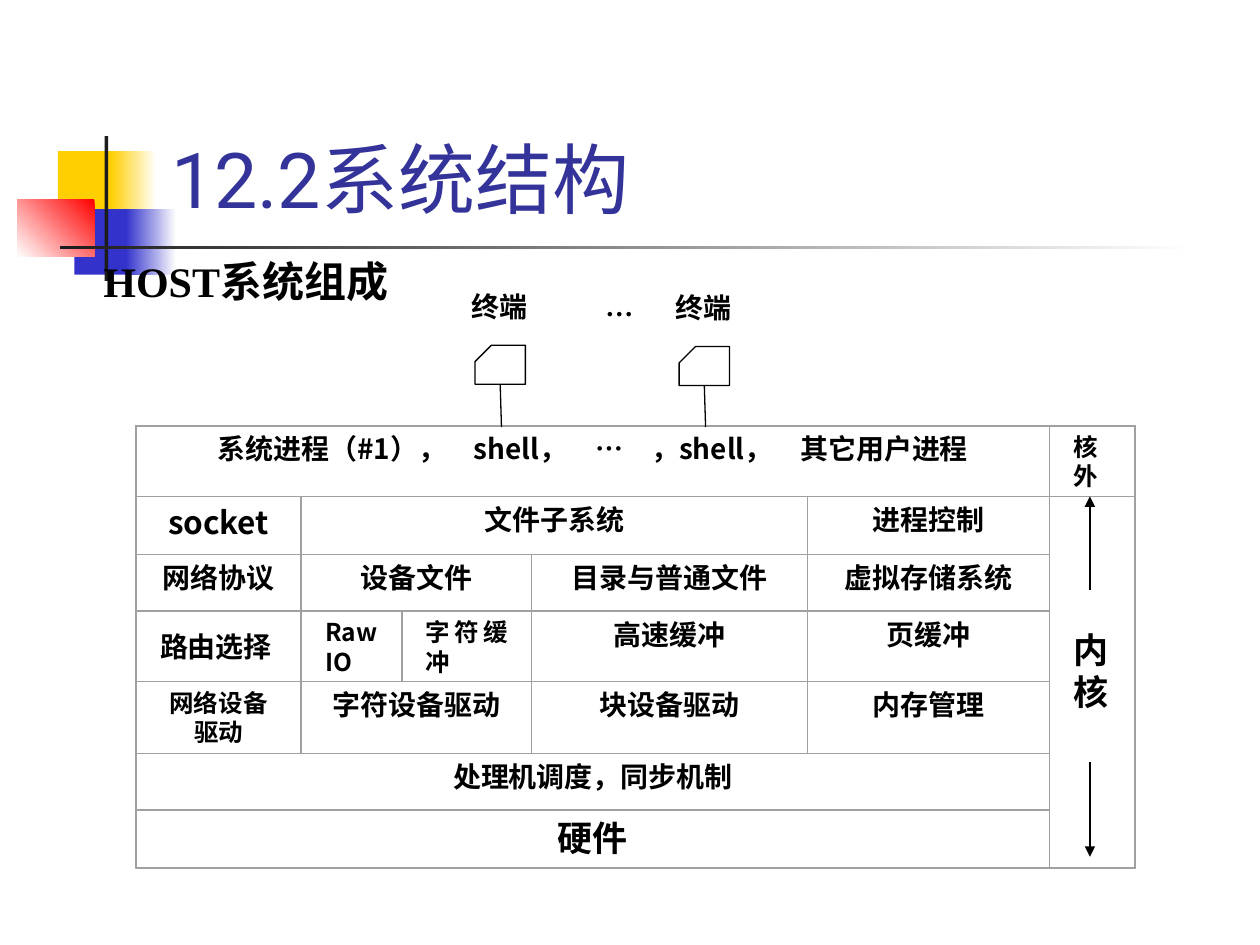
import pptx
import pptx.dml.color
import pptx.enum.shapes
import pptx.enum.text
import pptx.oxml.ns
import pptx.util
from lxml import etree

IN = pptx.util.Inches
ANCHOR = pptx.enum.text.MSO_ANCHOR
ALIGN = pptx.enum.text.PP_ALIGN
RECT = pptx.enum.shapes.MSO_SHAPE.RECTANGLE
STRAIGHT = pptx.enum.shapes.MSO_CONNECTOR.STRAIGHT

SANS, SERIF, TITLE = "Noto Sans CJK SC", "Times New Roman", "Roboto"
BLACK, GRID, INK = "000000", "A0A0A0", "1C1C1C"
WHITE, YELLOW, BLUE, RED = "FFFFFF", "FFCF01", "3333CC", "FF0000"

# Grid edges of the layer diagram, as offsets from its top left corner
COLS = [0, 1.31, 2.11, 3.14, 5.33, 7.25, 7.93]
ROWS = [0, 0.56, 1.02, 1.47, 2.03, 2.6, 3.05, 3.51]

# first row, first column, row after, column after, text, format
LAYERS = [
    (0, 0, 1, 5, "系统进程（#1），　shell，　…　，shell，　其它用户进程", {}),
    (0, 5, 1, 6, "核外", dict(size=14, align=ALIGN.JUSTIFY)),
    (1, 5, 7, 6, "内核", dict(size=20, align=ALIGN.JUSTIFY, anchor=ANCHOR.MIDDLE, bottom=0.23)),
    (1, 0, 2, 1, "socket", dict(size=18)),
    (1, 1, 2, 4, "文件子系统", {}),
    (1, 4, 2, 5, "进程控制", {}),
    (2, 0, 3, 1, "网络协议", {}),
    (2, 1, 3, 3, "设备文件", {}),
    (2, 3, 3, 4, "目录与普通文件", {}),
    (2, 4, 3, 5, "虚拟存储系统", {}),
    (3, 0, 4, 1, "路由选择", dict(font=SERIF, align=ALIGN.LEFT, anchor=ANCHOR.MIDDLE)),
    (3, 1, 4, 2, "RawIO", dict(size=14, align=ALIGN.JUSTIFY)),
    (3, 2, 4, 3, "字符缓冲", dict(size=14, align=ALIGN.JUSTIFY)),
    (3, 3, 4, 4, "高速缓冲", {}),
    (3, 4, 4, 5, "页缓冲", {}),
    (4, 0, 5, 1, "网络设备驱动", dict(size=14)),
    (4, 1, 5, 3, "字符设备驱动", {}),
    (4, 3, 5, 4, "块设备驱动", {}),
    (4, 4, 5, 5, "内存管理", {}),
    (5, 0, 6, 5, "处理机调度，同步机制", {}),
    (6, 0, 7, 5, "硬件", dict(size=20)),
]


def rgb(color):
    return pptx.dml.color.RGBColor.from_string(color)


def write(sp, text, size=16, font=SANS, color=BLACK, bold=True, align=ALIGN.CENTER,
          anchor=ANCHOR.TOP, side=0.1, top=0.05, bottom=0.05, wrap=True):
    tf = sp.text_frame
    frame = dict(word_wrap=wrap, vertical_anchor=anchor, margin_left=IN(side),
                 margin_right=IN(side), margin_top=IN(top), margin_bottom=IN(bottom))
    for name, value in frame.items():
        setattr(tf, name, value)
    p = tf.paragraphs[0]
    p.alignment = align
    r = p.add_run()
    r.text = text
    for name, value in dict(size=pptx.util.Pt(size), name=font, bold=bold).items():
        setattr(r.font, name, value)
    r.font.color.rgb = rgb(color)
    ea = etree.SubElement(r.font._element, pptx.oxml.ns.qn("a:ea"))
    ea.set("typeface", SANS)


def label(s, box, text, **fmt):
    write(s.shapes.add_textbox(*map(IN, box)), text, **fmt)


def block(s, box, fill=None, line=None, width=0):
    """Rectangle; a fill of (start, end, angle) is a gradient."""
    sp = s.shapes.add_shape(RECT, *map(IN, box))
    sp.shadow.inherit = False
    if fill is None:
        sp.fill.background()
    elif isinstance(fill, str):
        sp.fill.solid()
        sp.fill.fore_color.rgb = rgb(fill)
    else:
        sp.fill.gradient()
        sp.fill.gradient_angle = fill[2]
        for stop, color, position in zip(sp.fill.gradient_stops, fill, (0, 1)):
            stop.color.rgb = rgb(color)
            stop.position = position
    if line:
        sp.line.color.rgb = rgb(line)
        sp.line.width = pptx.util.Pt(width)
    else:
        sp.line.fill.background()
    return sp


def connect(s, start, end, arrow=False):
    cxn = s.shapes.add_connector(STRAIGHT, *map(IN, start + end))
    cxn.line.color.rgb = rgb(BLACK)
    cxn.line.width = pptx.util.Pt(0.75)
    if arrow:
        tail = etree.SubElement(cxn.line._get_or_add_ln(), pptx.oxml.ns.qn("a:tailEnd"))
        tail.set("type", "triangle")
    etree.SubElement(cxn._element.spPr, pptx.oxml.ns.qn("a:effectLst"))


def ornament(s, x, y):
    """Coloured squares and crossing bars beside the title."""
    for dx, dy, w, h, fill in [
        (0.32, 0.12, 0.48, 0.52, YELLOW),
        (0.74, 0.12, 0.36, 0.52, (WHITE, YELLOW, 180)),
        (0.45, 0.58, 0.46, 0.52, BLUE),
        (0.86, 0.58, 0.4, 0.52, (WHITE, BLUE, 180)),
        (0, 0.5, 0.61, 0.46, (RED, WHITE, 225)),
        (0.69, 0, 0.03, 1.15, INK),
        (0.34, 0.87, 9, 0.03, (WHITE, INK, 180)),
    ]:
        block(s, (x + dx, y + dy, w, h), fill)


def terminal(s, x, y, foot):
    """Labelled terminal whose stem runs down to foot."""
    w, h, cut = 0.4, 0.31, 0.13
    label(s, (x - 0.03, y - 0.44, 0.54, 0.4), "终端", font=SERIF,
          align=ALIGN.JUSTIFY, side=0, top=0, bottom=0)
    connect(s, (x + w / 2, y + h), (x + w / 2 + 0.01, foot))
    corners = [(w, 0), (w, h), (0, h), (0, cut)]
    builder = s.shapes.build_freeform(IN(x + cut), IN(y))
    builder.add_line_segments([(IN(x + dx), IN(y + dy)) for dx, dy in corners])
    sp = builder.convert_to_shape()
    sp.shadow.inherit = False
    sp.fill.solid()
    sp.fill.fore_color.rgb = rgb(WHITE)
    sp.line.color.rgb = rgb(BLACK)
    sp.line.width = pptx.util.Pt(0.75)


def layers(s, x, y):
    for top, left, bottom, right, text, fmt in LAYERS:
        box = (x + COLS[left], y + ROWS[top],
               COLS[right] - COLS[left], ROWS[bottom] - ROWS[top])
        write(block(s, box, line=GRID), text, side=0.19, **fmt)
    block(s, (x, y, COLS[-1], ROWS[-1]), line=GRID, width=0.75)
    middle = x + (COLS[-2] + COLS[-1]) / 2 - 0.02
    connect(s, (middle, y + 1.3), (middle, y + ROWS[1]), arrow=True)
    connect(s, (middle, y + 2.67), (middle, y + 3.42), arrow=True)


def main():
    prs = pptx.Presentation()
    prs.slide_width, prs.slide_height = IN(10), IN(7.5)
    s = prs.slides.add_slide(prs.slide_layouts[6])
    ornament(s, 0.14, 1.08)
    label(s, (1.26, 0.23, 8.52, 1.6), "12.2系统结构", size=44, font=TITLE, color="333399",
          bold=False, align=ALIGN.LEFT, anchor=ANCHOR.BOTTOM)
    label(s, (0.64, 2, 2.62, 0.46), "HOST系统组成", size=24, font=SERIF,
          anchor=ANCHOR.MIDDLE, wrap=False)
    layers(s, 1.08, 3.38)
    for x, y in [(3.77, 2.74), (5.39, 2.75)]:
        terminal(s, x, y, foot=3.39)
    label(s, (4.47, 2.29, 0.89, 0.4), "…", font=SERIF, side=0, top=0, bottom=0)
    prs.save("out.pptx")


if __name__ == "__main__":
    main()
